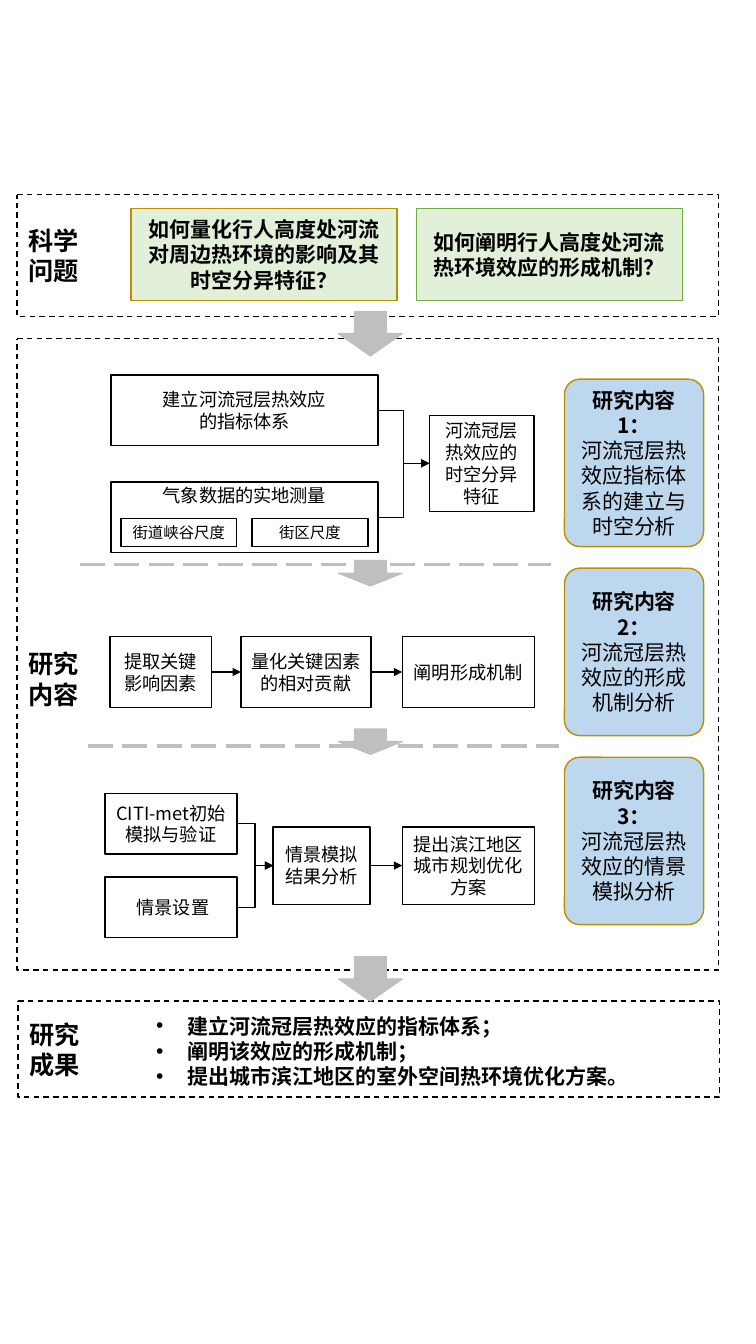
from dataclasses import dataclass

from lxml import etree
from pptx import Presentation
from pptx.dml.color import RGBColor
from pptx.enum.dml import MSO_LINE
from pptx.enum.shapes import MSO_CONNECTOR, MSO_SHAPE
from pptx.enum.text import MSO_ANCHOR, PP_ALIGN
from pptx.oxml.ns import qn
from pptx.util import Inches, Pt

RECT, ROUNDED, DOWN_ARROW = MSO_SHAPE.RECTANGLE, MSO_SHAPE.ROUNDED_RECTANGLE, MSO_SHAPE.DOWN_ARROW
STRAIGHT, ELBOW = MSO_CONNECTOR.STRAIGHT, MSO_CONNECTOR.ELBOW
DASH, LONG_DASH = MSO_LINE.DASH, MSO_LINE.LONG_DASH
TOP, MIDDLE = MSO_ANCHOR.TOP, MSO_ANCHOR.MIDDLE
LEFT, CENTER = PP_ALIGN.LEFT, PP_ALIGN.CENTER
LEFT_SIDE, RIGHT_SIDE = 1, 3

BLACK = RGBColor(0x00, 0x00, 0x00)
WHITE = RGBColor(0xFF, 0xFF, 0xFF)
GREY = RGBColor(0xBF, 0xBF, 0xBF)
GOLD = RGBColor(0xBD, 0x8E, 0x00)
GREEN = RGBColor(0x70, 0xAD, 0x47)
PALE_GREEN = RGBColor(0xE2, 0xF0, 0xD9)
PALE_BLUE = RGBColor(0xBD, 0xD7, 0xEE)

NOTO, CALIBRI = "Noto Sans CJK SC", "Calibri"
LINE_PITCH = 1.2


@dataclass
class Box:
    """An area in inches, whose inner areas are given as percentages of it."""
    left: float
    top: float
    width: float
    height: float

    def area(self, x, y, w, h):
        """Return the area at the given percentages."""
        return Box(self.left + self.width * x / 100, self.top + self.height * y / 100,
                   self.width * w / 100, self.height * h / 100)

    def emu(self):
        """Return left, top, width and height as lengths."""
        return [Inches(v) for v in (self.left, self.top, self.width, self.height)]


def apply(target, values):
    """Set every attribute named in a dict of format values."""
    for name, value in values.items():
        setattr(target, name, value)


def write(frame, lines, size, font=NOTO, bold=False, align=CENTER, anchor=MIDDLE):
    """Fill a text frame; a line is text or a (text, font, bold) tuple."""
    apply(frame, {"word_wrap": True, "vertical_anchor": anchor})
    for index, line in enumerate(lines):
        text, face, weight = line if isinstance(line, tuple) else (line, font, bold)
        paragraph = frame.paragraphs[0] if index == 0 else frame.add_paragraph()
        apply(paragraph, {"alignment": align, "line_spacing": Pt(size * LINE_PITCH)})
        run = paragraph.add_run()
        run.text = text
        apply(run.font, {"name": face, "size": Pt(size), "bold": weight})
        run.font.color.rgb = BLACK
        etree.SubElement(run.font._element, qn("a:ea"), typeface=NOTO)


def add_block(slide, box, kind=RECT, fill=WHITE, line=BLACK, dash=None):
    """Draw one filled and outlined shape without shadow."""
    block = slide.shapes.add_shape(kind, *box.emu())
    block.shadow.inherit = False
    block.fill.solid()
    block.fill.fore_color.rgb = fill
    block.line.color.rgb = line
    apply(block.line, {"width": Pt(1), "dash_style": dash})
    return block


def add_step(slide, box, *lines, size=13, **style):
    """Draw a white step box with its words."""
    step = add_block(slide, box)
    write(step.text_frame, lines, size, **style)
    return step


def add_link(slide, source, target, kind=STRAIGHT):
    """Join the right side of one step to the left side of another by an arrow."""
    link = slide.shapes.add_connector(kind, 0, 0, 0, 0)
    link.begin_connect(source, RIGHT_SIDE)
    link.end_connect(target, LEFT_SIDE)
    link.line.color.rgb = BLACK
    link.line.width = Pt(1)
    etree.SubElement(link.line._get_or_add_ln(), qn("a:tailEnd"), type="triangle")
    etree.SubElement(link._element.spPr, qn("a:effectLst"))


def add_divider(slide, page, x, y):
    """Draw a dashed grey rule between two stages."""
    left, top, width, _ = page.area(x, y, 62.4, 0).emu()
    divider = slide.shapes.add_connector(STRAIGHT, left, top, left + width, top)
    divider.line.color.rgb = GREY
    apply(divider.line, {"width": Pt(2.25), "dash_style": LONG_DASH})
    etree.SubElement(divider._element.spPr, qn("a:effectLst"))


def add_down_arrow(slide, page, y, height):
    """Draw a grey arrow leading to the next region."""
    add_block(slide, page.area(44.8, y, 8.4, height), DOWN_ARROW, GREY, GREY)


def add_section(slide, box, title, centre=50):
    """Draw a dashed frame with its two-line title on the left."""
    frame = add_block(slide, box, ROUNDED, dash=DASH)
    frame.adjustments[0] = 0
    label = slide.shapes.add_textbox(*box.area(0.14, centre - 25, 11.78, 50).emu())
    write(label.text_frame, title, 18, bold=True, align=LEFT)


def add_questions(slide, box):
    """Draw the two scientific questions."""
    add_section(slide, box, ("科学", "问题"))
    questions = (("如何量化行人高度处河流对周边热环境的影响及其时空分异特征？", GOLD),
                 ("如何阐明行人高度处河流热环境效应的形成机制？", GREEN))
    for column, (question, edge) in enumerate(questions):
        card = add_block(slide, box.area(16.24 + 40.66 * column, 11.57, 37.93, 75.2),
                         fill=PALE_GREEN, line=edge)
        write(card.text_frame, [question], 15, CALIBRI, True)


def add_indicator_stage(slide, box):
    """Draw the stage on indicators and field measurement."""
    index = add_step(slide, box.area(13.36, 16.07, 38.07, 31.25), "建立河流冠层热效应", "的指标体系")
    survey = add_step(slide, box.area(13.36, 63.39, 38.07, 31.25), "气象数据的实地测量", anchor=TOP)
    survey.text_frame.margin_top = Inches(0.02)
    pattern = add_step(slide, box.area(58.76, 33.93, 14.94, 42.41),
                       "河流冠层热效应的时空分异特征", font=CALIBRI)
    for column, scale in enumerate(("街道峡谷尺度", "街区尺度")):
        add_step(slide, box.area(14.8 + 18.68 * column, 79.46, 16.52, 12.5), scale, size=11)
    for source in (index, survey):
        add_link(slide, source, pattern, ELBOW)


def add_mechanism_stage(slide, box):
    """Draw the stage on key factors and mechanism."""
    steps = [add_step(slide, box.area(x, 39.44, width, 39.44), words)
             for x, width, words in ((13.22, 14.51, "提取关键影响因素"),
                                     (31.9, 18.53, "量化关键因素的相对贡献"),
                                     (54.89, 18.82, "阐明形成机制"))]
    for source, target in zip(steps, steps[1:]):
        add_link(slide, source, target)


def add_scenario_stage(slide, box):
    """Draw the stage on scenario simulation."""
    inputs = [add_step(slide, box.area(12.5, 21.17 + 37.39 * row, 18.82, 27.03), words)
              for row, words in enumerate(("CITI-met初始模拟与验证", " 情景设置"))]
    analysis = add_step(slide, box.area(36.49, 36.04, 13.79, 34.68), "情景模拟结果分析")
    plan = add_step(slide, box.area(54.89, 36.04, 18.82, 34.68), "提出滨江地区", "城市规划优化方案")
    for source in inputs:
        add_link(slide, source, analysis, ELBOW)
    add_link(slide, analysis, plan)


def add_contents(slide, box):
    """Draw the three research stages and their summary cards."""
    add_section(slide, box, ("研究", "内容"), 53.9)
    add_indicator_stage(slide, box.area(0, 0, 100, 35.78))
    add_mechanism_stage(slide, box.area(0, 35.78, 100, 28.76))
    add_scenario_stage(slide, box.area(0, 64.54, 100, 35.46))
    summaries = ("河流冠层热效应指标体系的建立与时空分析", "河流冠层热效应的形成机制分析",
                 "河流冠层热效应的情景模拟分析")
    for row, summary in enumerate(summaries):
        card = add_block(slide, box.area(78.02, 6.39 + 29.95 * row, 19.83, 26.52),
                         ROUNDED, PALE_BLUE, GOLD)
        card.adjustments[0] = 0.11
        write(card.text_frame, [(f"研究内容{row + 1}：", NOTO, True), (summary, CALIBRI, False)], 15)


def add_results(slide, box):
    """Draw the bulleted research results."""
    add_section(slide, box, ("研究", "成果"))
    results = slide.shapes.add_textbox(*box.area(18.25, 7.4, 81.75, 90).emu())
    write(results.text_frame, ("建立河流冠层热效应的指标体系；", "阐明该效应的形成机制；",
                               "提出城市滨江地区的室外空间热环境优化方案。"),
          15, CALIBRI, True, LEFT, TOP)
    indent = Inches(0.31)
    for paragraph in results.text_frame.paragraphs:
        properties = paragraph._p.get_or_add_pPr()
        properties.set("marL", str(indent))
        properties.set("indent", str(-indent))
        etree.SubElement(properties, qn("a:buFont"), typeface="Arial")
        etree.SubElement(properties, qn("a:buChar"), char="•")


def main():
    """Build the research framework slide."""
    deck = Presentation()
    page = Box(0, 0, 7.5, 13.33)
    apply(deck, {"slide_width": Inches(page.width), "slide_height": Inches(page.height)})
    slide = deck.slides.add_slide(deck.slide_layouts[6])
    add_questions(slide, page.area(2.27, 14.48, 92.8, 9.08))
    add_contents(slide, page.area(2.27, 25.21, 92.8, 46.96))
    add_results(slide, page.area(2.4, 74.49, 92.8, 7.13))
    for y, height in ((23.18, 3.3), (71.19, 3.3), (41.71, 1.88)):
        add_down_arrow(slide, page, y, height)
    for x, y in ((10.53, 42.01), (11.6, 55.51)):
        add_divider(slide, page, x, y)
    add_down_arrow(slide, page, 54.24, 1.88)
    deck.save("out.pptx")


if __name__ == "__main__":
    main()
